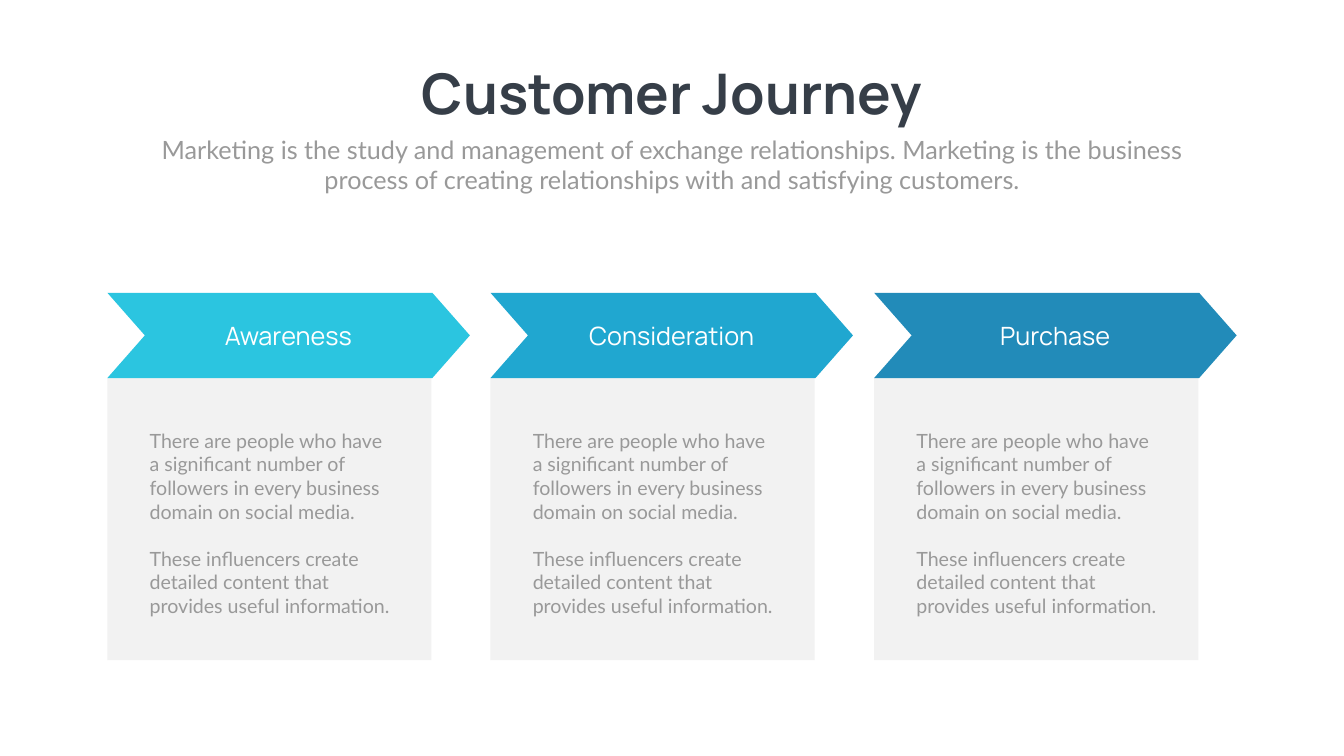
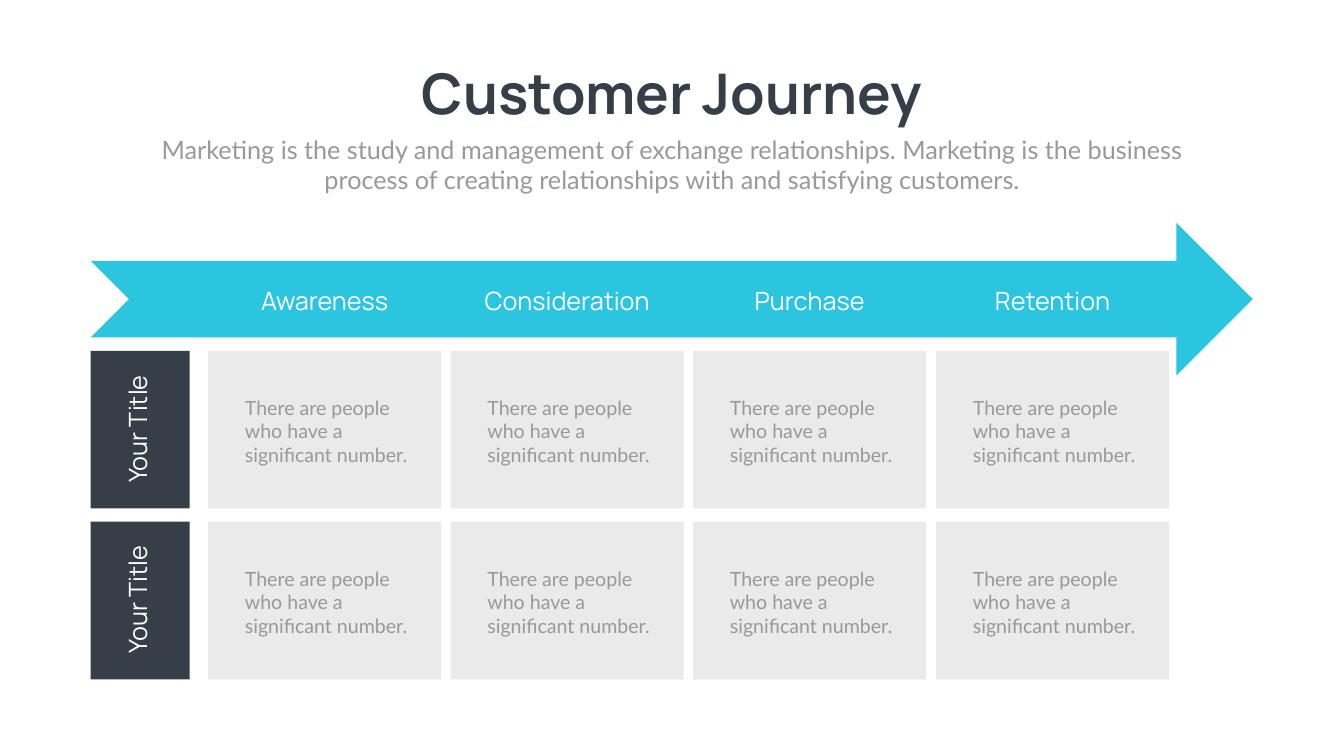
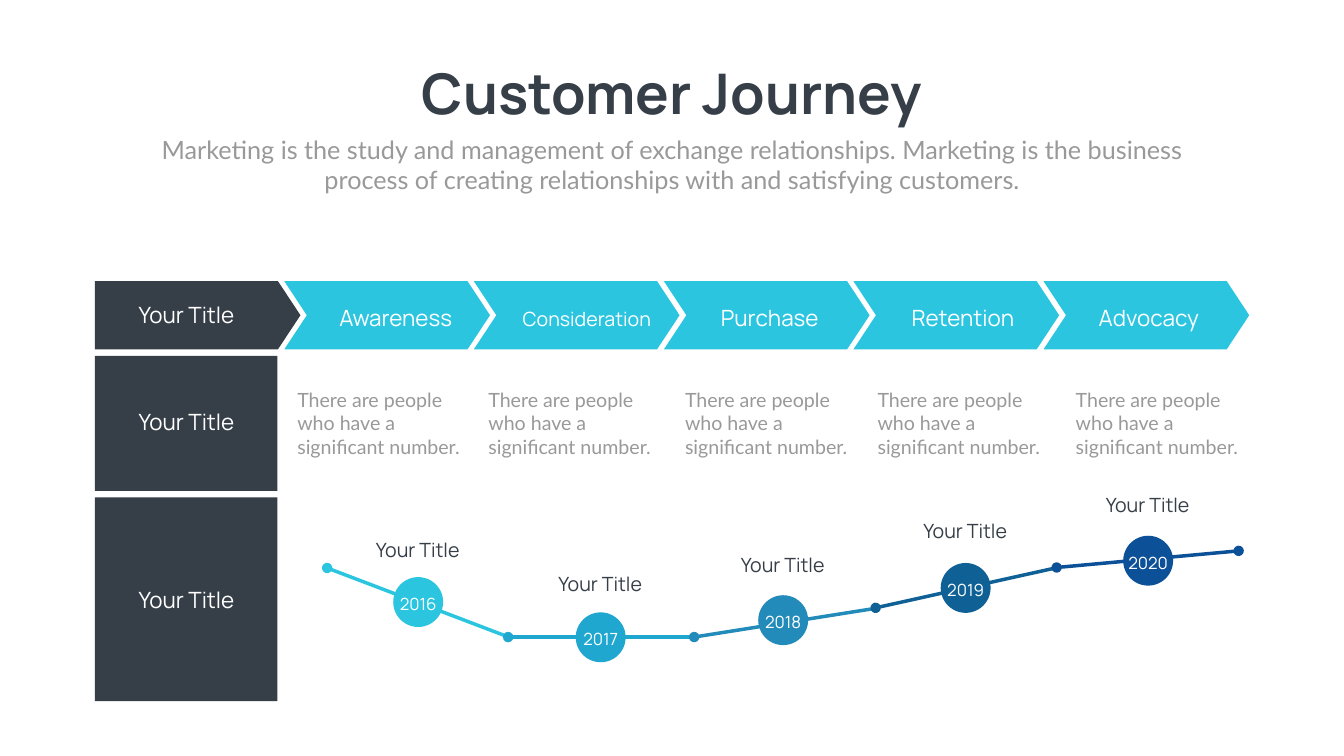
from lxml.etree import SubElement
from pptx import Presentation
from pptx.dml.color import RGBColor
from pptx.enum.shapes import MSO_CONNECTOR, MSO_SHAPE
from pptx.enum.text import PP_ALIGN
from pptx.oxml.ns import qn
from pptx.util import Emu, Pt

PX = 9144  # EMU per px, 100 px to the inch
COLORS = {
    "dark": "363E48", "grey": "999999", "white": "FFFFFF",
    "card": "F2F2F2", "cell": "EAEAEA",
    "cyan": "2BC5E0", "sky": "20A7D0", "blue": "228BB9",
    "deep": "0F6195", "navy": "0C5198",
}
HEADING, BODY = "Manrope", "Lato"
TITLE = "Customer Journey"
SUBTITLE = ("Marketing is the study and management of exchange relationships. "
            "Marketing is the business process of creating relationships with "
            "and satisfying customers.")
STAGES = ["Awareness", "Consideration", "Purchase", "Retention", "Advocacy"]
ROW_TITLE = "Your Title"
SHORT_TEXT = "There are people who have a significant number."
LONG_TEXT = [
    "There are people who have a significant number of followers in every "
    "business domain on social media.",
    "These influencers create detailed content that provides useful information.",
]


def spread(first, last, count):
    """Evenly spaced positions from first to last."""
    return [first + (last - first) * i // (count - 1) for i in range(count)]


class Builder:
    def __init__(self):
        self.deck = Presentation()
        self.deck.slide_width = Emu(2666 * PX)
        self.deck.slide_height = Emu(1500 * PX)
        self.page = None

    def color(self, name):
        return RGBColor.from_string(COLORS[name])

    def new_page(self):
        self.page = self.deck.slides.add_slide(self.deck.slide_layouts[6])
        self.label(TITLE, 785, 112, 1096, 145, size=80, color="dark", bold=True)
        self.label(SUBTITLE, 292, 261, 2082, 131, size=36, color="grey", font=BODY)

    def text(self, lines, left, top, width, height, size, color, font,
             align, bold=False, gap=0, rotation=0):
        box = self.page.shapes.add_textbox(
            *(Emu(n * PX) for n in (left, top, width, height)))
        box.rotation = rotation
        frame = box.text_frame
        frame.word_wrap = True
        for i, line in enumerate(lines):
            para = frame.paragraphs[0] if i == 0 else frame.add_paragraph()
            para.text = line
            para.alignment = align
            if i:
                para.space_before = Pt(gap)
            para.font.name = font
            para.font.size = Pt(size)
            para.font.bold = bold
            para.font.color.rgb = self.color(color)

    def label(self, line, left, top, width, height, size=32, color="white",
              font=HEADING, bold=False, rotation=0):
        self.text([line], left, top, width, height, size, color, font,
                  PP_ALIGN.CENTER, bold=bold, rotation=rotation)

    def body(self, lines, left, top, width, height):
        self.text(lines, left, top, width, height, 28, "grey", BODY,
                  PP_ALIGN.LEFT, gap=33.6)

    def shape(self, kind, left, top, width, height, fill, adjustments=()):
        shape = self.page.shapes.add_shape(
            kind, *(Emu(n * PX) for n in (left, top, width, height)))
        shape.shadow.inherit = False
        shape.fill.solid()
        shape.fill.fore_color.rgb = self.color(fill)
        shape.line.fill.background()
        for i, value in enumerate(adjustments):
            shape.adjustments[i] = value

    def rect(self, left, top, width, height, fill):
        self.shape(MSO_SHAPE.RECTANGLE, left, top, width, height, fill)

    def line(self, start, end, color, dots):
        line = self.page.shapes.add_connector(
            MSO_CONNECTOR.STRAIGHT, *(Emu(n * PX) for n in (*start, *end)))
        line.line.color.rgb = self.color(color)
        line.line.width = Pt(5)
        for dot in dots:
            SubElement(line.line._get_or_add_ln(), qn(f"a:{dot}"), type="oval")
        SubElement(line._element.spPr, qn("a:effectLst"))


def stage_cards(builder):
    builder.new_page()
    fills = ["cyan", "sky", "blue"]
    label_widths = [310, 525, 310]
    for left, stage, fill, width in zip(spread(213, 1734, 3), STAGES, fills, label_widths):
        builder.rect(left, 750, 643, 560, "card")
        builder.shape(MSO_SHAPE.CHEVRON, left, 581, 719, 169, fill, [0.44])
        builder.label(stage, left + (719 - width) // 2, 630, width, 71, size=36)
        builder.body(LONG_TEXT, left + 74, 846, 496, 387)


def stage_grid(builder):
    builder.new_page()
    columns = spread(413, 1857, 4)
    # Rows of cells with an upright title
    for top in (696, 1035):
        builder.rect(180, top, 196, 313, "dark")
        builder.label(ROW_TITLE, 93, top + 114, 371, 83, size=36, rotation=270)
        for left in columns:
            builder.rect(left, top, 462, 313, "cell")
            builder.body([SHORT_TEXT], left + 63, top + 84, 363, 151)
    # Arrow with stage names
    builder.shape(MSO_SHAPE.NOTCHED_RIGHT_ARROW, 180, 442, 2305, 303, "cyan", [0.5, 0.5])
    for left, stage in zip(columns, STAGES):
        builder.label(stage, left + 9, 561, 444, 71, size=36)


def stage_timeline(builder):
    builder.new_page()
    # Row titles
    builder.shape(MSO_SHAPE.PENTAGON, 188, 558, 408, 135, "dark", [0.33])
    builder.rect(188, 706, 362, 268, "dark")
    builder.rect(188, 987, 362, 404, "dark")
    for top in (593, 805, 1158):
        builder.label(ROW_TITLE, 196, top, 348, 64)
    # Stages and their descriptions
    label_lefts = [580, 959, 1322, 1705, 2074]
    body_lefts = [580, 959, 1349, 1731, 2124]
    for left, stage, label_left, body_left in zip(
            spread(564, 2070, 5), STAGES, label_lefts, body_lefts):
        builder.shape(MSO_SHAPE.CHEVRON, left, 558, 408, 135, "cyan", [0.33])
        long_name = len(stage) > 10
        builder.label(stage, label_left, 605 if long_name else 598, 410,
                      57 if long_name else 64, size=28 if long_name else 32)
        builder.body([SHORT_TEXT], body_left, 764, 343, 151)
    # Timeline: line start, line end, circle top, title top, color
    years = [
        ((649, 1127), (1009, 1264), 1145, 1063, "cyan"),
        ((1008, 1264), (1369, 1264), 1215, 1130, "sky"),
        ((1377, 1264), (1737, 1207), 1181, 1093, "blue"),
        ((1737, 1206), (2098, 1126), 1117, 1024, "deep"),
        ((2096, 1126), (2457, 1093), 1063, 974, "navy"),
    ]
    for i, (start, end, _, _, color) in enumerate(years):
        last = i == len(years) - 1
        builder.line(start, end, color, ["headEnd", "tailEnd"] if last else ["headEnd"])
    for i, (left, year) in enumerate(zip(spread(780, 2228, 5), years)):
        _, _, top, title_top, color = year
        builder.shape(MSO_SHAPE.OVAL, left, top, 99, 99, color)
        builder.label(str(2016 + i), left - 30, top + 28, 159, 50, size=24)
        builder.label(ROW_TITLE, left - 82, title_top, 261, 57, size=28, color="dark")


def main():
    builder = Builder()
    stage_cards(builder)
    stage_grid(builder)
    stage_timeline(builder)
    builder.deck.save("out.pptx")


if __name__ == "__main__":
    main()
